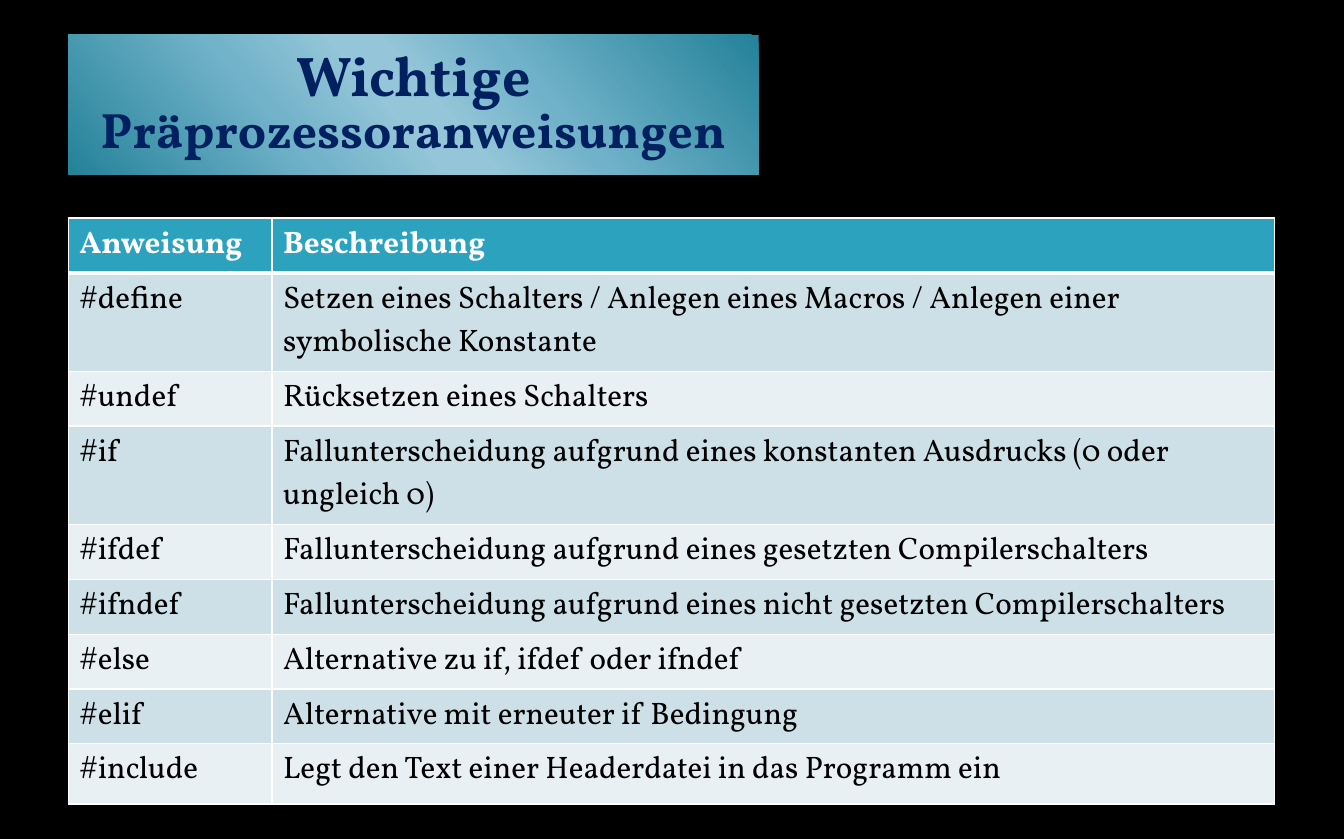
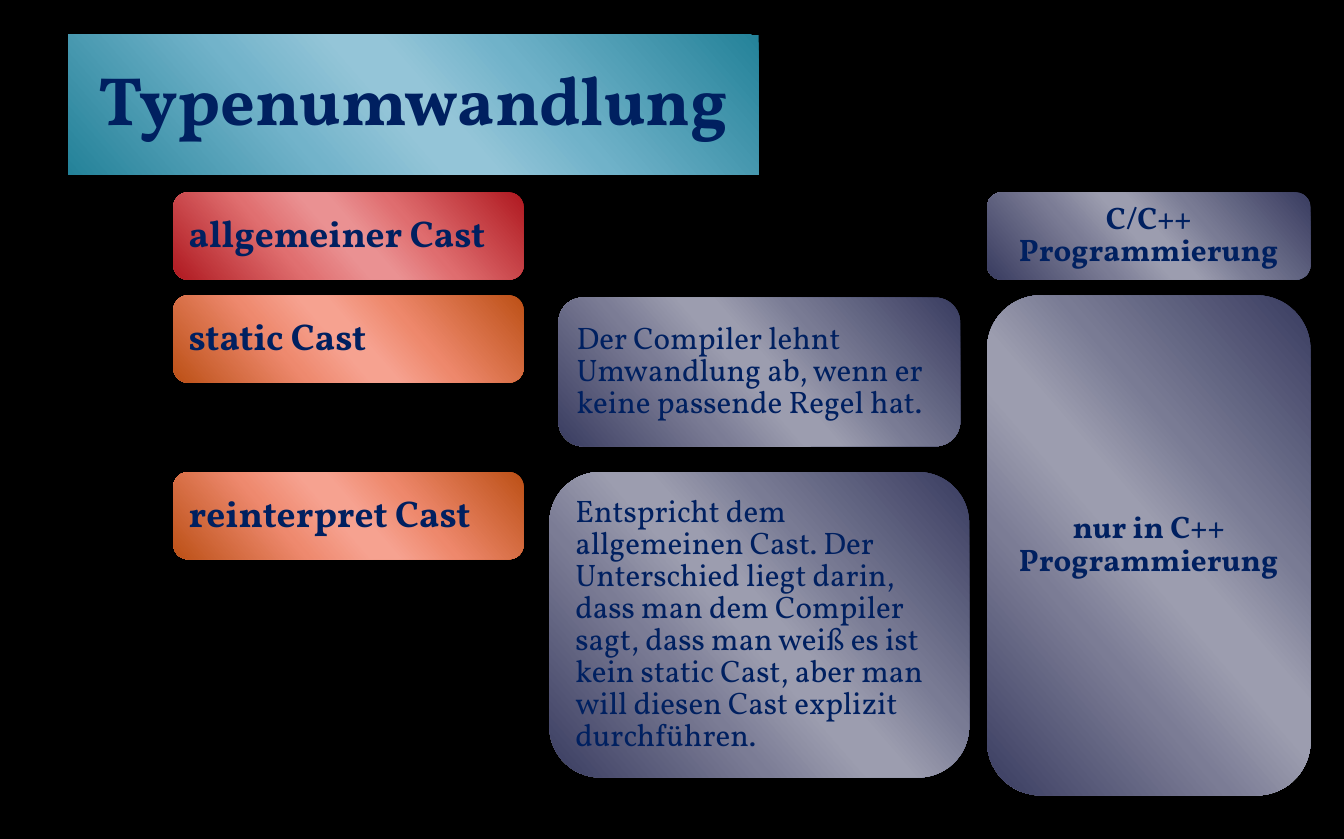
from lxml import etree
from pptx import Presentation
from pptx.dml.color import RGBColor
from pptx.enum.shapes import MSO_SHAPE
from pptx.enum.text import MSO_ANCHOR, MSO_AUTO_SIZE, PP_ALIGN
from pptx.oxml.ns import qn
from pptx.util import Inches, Pt

FONT = "Vollkorn"
BLACK = RGBColor(0x00, 0x00, 0x00)
WHITE = RGBColor(0xFF, 0xFF, 0xFF)
NAVY = RGBColor(0x00, 0x20, 0x60)
HEADER = RGBColor(0x2D, 0xA2, 0xBF)
BANDS = (RGBColor(0xCD, 0xE0, 0xE8), RGBColor(0xE8, 0xF0, 0xF4))

# Sheen gradients: the colours that belong to STOPS
STOPS = (0, 33, 47, 53, 68, 100)


def sheen(edge, left, middle, right):
    colors = (edge, left, middle, middle, right, edge)
    return [RGBColor.from_string(c) for c in colors]


TEAL = sheen("248299", "70B2C9", "94C5D8", "72B3CA")
RED = sheen("AF1920", "DF6D6F", "EA9192", "E06F70")
ORANGE = sheen("BC5016", "EE886C", "F6A290", "EE896E")
SLATE = sheen("393C60", "797B94", "9C9DAF", "7B7C95")

TITLE_BOX = (0.61, 0.31, 6.17, 1.25)
LINE_SPACING = 0.86

DIRECTIVES = [
    ("Anweisung", "Beschreibung"),
    ("#define", "Setzen eines Schalters / Anlegen eines Macros / "
                "Anlegen einer symbolische Konstante"),
    ("#undef", "Rücksetzen eines Schalters"),
    ("#if", "Fallunterscheidung aufgrund eines konstanten Ausdrucks "
            "(0 oder ungleich 0)"),
    ("#ifdef", "Fallunterscheidung aufgrund eines gesetzten Compilerschalters"),
    ("#ifndef", "Fallunterscheidung aufgrund eines nicht gesetzten "
                "Compilerschalters"),
    ("#else", "Alternative zu if, ifdef oder ifndef"),
    ("#elif", "Alternative mit erneuter if Bedingung"),
    ("#include", "Legt den Text einer Headerdatei in das Programm ein"),
]
ROW_HEIGHTS = (0.49, 0.88, 0.49, 0.88, 0.49, 0.49, 0.49, 0.49, 0.54)


def write(tf, text, size=20, color=NAVY, bold=False, align=PP_ALIGN.LEFT,
          spacing=LINE_SPACING):
    """Add one formatted paragraph, using the empty first one if there is one."""
    p = tf.add_paragraph() if tf.text else tf.paragraphs[0]
    p.alignment = align
    p.line_spacing = spacing
    p.space_before = p.space_after = Pt(0)
    r = p.add_run()
    r.text = text
    r.font.name, r.font.size, r.font.bold = FONT, Pt(size), bold
    r.font.color.rgb = color


def style_panel(s, colors):
    """Give a shape the sheen fill and the common text frame."""
    s.fill.gradient()
    s.fill.gradient_angle = 221
    stops = s._element.spPr.find(qn("a:gradFill")).find(qn("a:gsLst"))
    for stop in list(stops):
        stops.remove(stop)
    for pos, color in zip(STOPS, colors):
        gs = etree.SubElement(stops, qn("a:gs"), pos=str(pos * 1000))
        etree.SubElement(gs, qn("a:srgbClr"), val=str(color))
    s.line.fill.background()
    s.shadow.inherit = False
    tf = s.text_frame
    tf.word_wrap = True
    tf.auto_size = MSO_AUTO_SIZE.NONE
    tf.vertical_anchor = MSO_ANCHOR.MIDDLE
    return tf


def add_panel(slide, box, colors, text, **fmt):
    s = slide.shapes.add_shape(MSO_SHAPE.ROUNDED_RECTANGLE,
                               *[Inches(v) for v in box])
    write(style_panel(s, colors), text, **fmt)


def add_titled_slide(prs, *lines):
    """New slide with the rounded title; lines are (text, size) pairs."""
    slide = prs.slides.add_slide(prs.slide_layouts[5])
    s = slide.shapes.title
    s.left, s.top, s.width, s.height = [Inches(v) for v in TITLE_BOX]
    geom = etree.Element(qn("a:prstGeom"), prst="roundRect")
    etree.SubElement(geom, qn("a:avLst"))
    s._element.spPr.insert(1, geom)
    tf = style_panel(s, TEAL)
    for text, size in lines:
        write(tf, text, size=size, bold=True, align=PP_ALIGN.CENTER)
    return slide


def set_borders(cell, bottom):
    tc_pr = cell._tc.get_or_add_tcPr()
    widths = {"a:lnL": 1, "a:lnR": 1, "a:lnT": 1, "a:lnB": bottom}
    for i, (tag, width) in enumerate(widths.items()):
        ln = etree.Element(qn(tag), w=str(Pt(width)))
        fill = etree.SubElement(ln, qn("a:solidFill"))
        etree.SubElement(fill, qn("a:srgbClr"), val=str(WHITE))
        tc_pr.insert(i, ln)


def add_directive_table(slide, left, top, width, first_col=1.82):
    frame = slide.shapes.add_table(
        len(DIRECTIVES), 2, Inches(left), Inches(top), Inches(width),
        Inches(sum(ROW_HEIGHTS)))
    table = frame.table
    table.horz_banding = False
    table.columns[0].width = Inches(first_col)
    table.columns[1].width = Inches(width - first_col)
    for i, (texts, height) in enumerate(zip(DIRECTIVES, ROW_HEIGHTS)):
        table.rows[i].height = Inches(height)
        head = i == 0
        for cell, text in zip(table.rows[i].cells, texts):
            cell.fill.solid()
            cell.fill.fore_color.rgb = HEADER if head else BANDS[(i - 1) % 2]
            set_borders(cell, bottom=3 if head or i == 0 else 1)
            write(cell.text_frame, text, bold=head, spacing=1.0,
                  color=WHITE if head else BLACK)


def add_cast_names(slide, left, top, width=3.13, height=0.78):
    """Column of cast names; offsets are measured from the first one."""
    for offset, colors, text in ((0, RED, "allgemeiner Cast"),
                                 (0.92, ORANGE, "static Cast"),
                                 (2.5, ORANGE, "reinterpret Cast")):
        add_panel(slide, (left, top + offset, width, height), colors, text,
                  size=24, bold=True)


def add_explanations(slide, left, top):
    add_panel(slide, (left + 0.08, top, 3.59, 1.33), SLATE,
              "Der Compiler lehnt Umwandlung ab, wenn er keine passende "
              "Regel hat.")
    add_panel(slide, (left, top + 1.56, 3.75, 2.73), SLATE,
              "Entspricht dem allgemeinen Cast. Der Unterschied liegt darin, "
              "dass man dem Compiler sagt, dass man weiß es ist kein static "
              "Cast, aber man will diesen Cast explizit durchführen.")


def add_languages(slide, left, top, width=2.89):
    for offset, height, text in ((0, 0.78, "C/C++ Programmierung"),
                                 (0.92, 4.47, "nur in C++ Programmierung")):
        add_panel(slide, (left, top + offset, width, height), SLATE, text,
                  bold=True, align=PP_ALIGN.CENTER)


def build_directives(prs):
    slide = add_titled_slide(prs, ("Wichtige", 36),
                             ("Präprozessoranweisungen", 32))
    add_directive_table(slide, 0.61, 1.95, 10.78)


def build_casts(prs):
    slide = add_titled_slide(prs, ("Typenumwandlung", 44))
    add_cast_names(slide, 1.55, 1.72)
    add_explanations(slide, 4.91, 2.66)
    add_languages(slide, 8.82, 1.72)


def main():
    prs = Presentation()
    prs.slide_width, prs.slide_height = Inches(12.01), Inches(7.5)
    background = prs.slide_master.background.fill
    background.solid()
    background.fore_color.rgb = BLACK
    build_directives(prs)
    build_casts(prs)
    prs.save("out.pptx")


if __name__ == "__main__":
    main()
